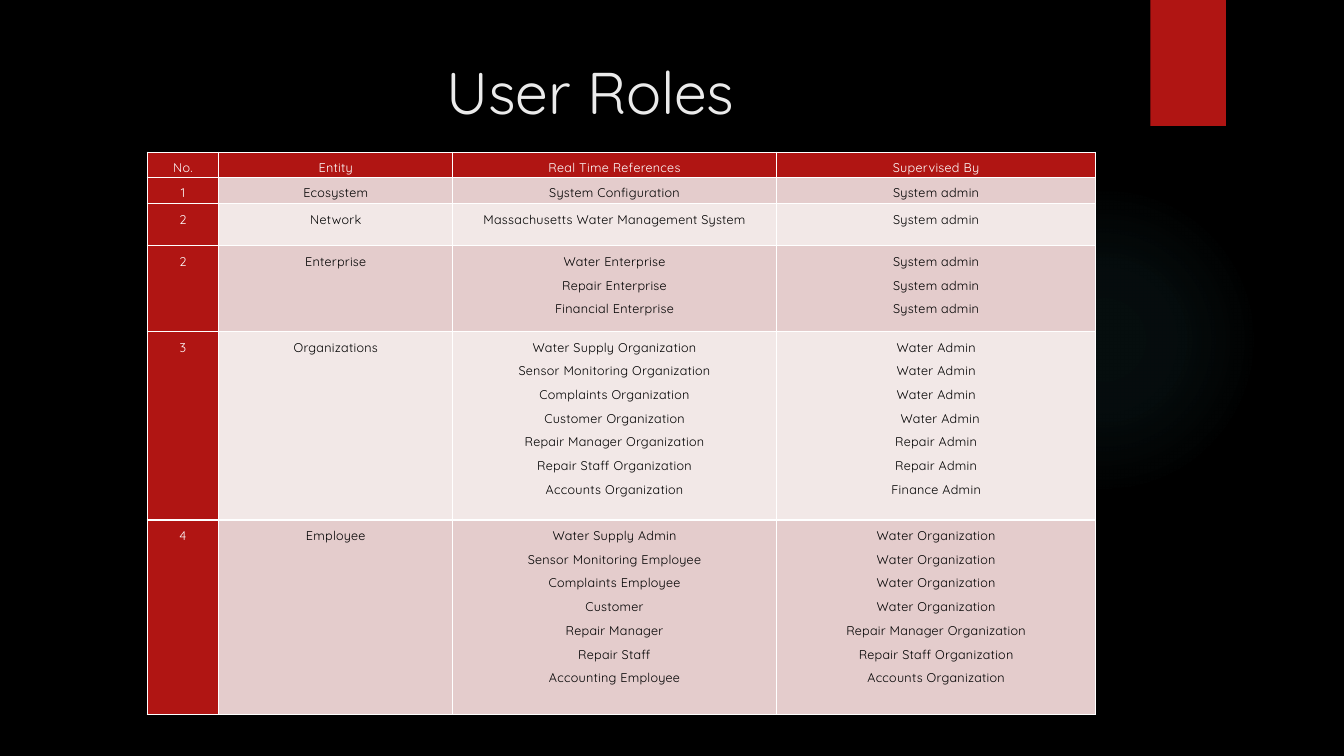
from lxml.etree import SubElement
from pptx import Presentation
from pptx.dml.color import RGBColor
from pptx.enum.shapes import MSO_SHAPE
from pptx.enum.text import MSO_ANCHOR, PP_ALIGN
from pptx.oxml import parse_xml
from pptx.oxml.ns import nsdecls, qn
from pptx.util import Pt

SCALE = 9144  # EMU per px, at 100 px to the inch

COLORS = {
    "back": "000000",
    "title": "EBEBEB",
    "red": "B01513",
    "white": "FFFFFF",
    "text": "000000",
    "rose": "E4CCCC",
    "pale": "F2E8E7",
    "glow": "50B9C1",
}

HEADS = ["No.", "Entity", "Real Time References", "Supervised By"]
WIDTHS = [71, 232, 321, 317]
HEIGHTS = [25, 26, 42, 85, 187, 193]
ROLES = [
    ("1", "Ecosystem", ["System Configuration"], ["System admin"]),
    ("2", "Network", ["Massachusetts Water Management System"], ["System admin"]),
    ("2", "Enterprise",
     ["Water Enterprise", "Repair Enterprise", "Financial Enterprise"],
     ["System admin"] * 3),
    ("3", "Organizations",
     ["Water Supply Organization", "Sensor Monitoring Organization",
      "Complaints Organization", "Customer Organization",
      "Repair Manager Organization", "Repair Staff Organization",
      "Accounts Organization"],
     ["Water Admin"] * 4 + ["Repair Admin"] * 2 + ["Finance Admin"]),
    ("4", "Employee",
     ["Water Supply Admin", "Sensor Monitoring Employee",
      "Complaints Employee", "Customer", "Repair Manager", "Repair Staff",
      "Accounting Employee"],
     ["Water Organization"] * 4
     + ["Repair Manager Organization", "Repair Staff Organization",
        "Accounts Organization"]),
]


def px(*sizes):
    return [size * SCALE for size in sizes]


def color(name):
    return RGBColor.from_string(COLORS[name])


class Board:
    font = "Quicksand"

    def __init__(self, slide):
        self.slide = slide
        fill = slide.background.fill
        fill.solid()
        fill.fore_color.rgb = color("back")

    def shape(self, kind, box, fill):
        shape = self.slide.shapes.add_shape(kind, *px(*box))
        shape.shadow.inherit = False
        shape.line.fill.background()
        shape.fill.solid()
        shape.fill.fore_color.rgb = color(fill)
        return shape

    def glow(self, box, stops):
        """Draw a circle that fades outward; stops are (place, opacity) in percent."""
        shape = self.shape(MSO_SHAPE.OVAL, box, "glow")
        marks = "".join(
            f'<a:gs pos="{place * 1000}"><a:srgbClr val="{COLORS["glow"]}">'
            f'<a:alpha val="{alpha * 1000}"/></a:srgbClr></a:gs>'
            for place, alpha in stops)
        grad = parse_xml(
            f'<a:gradFill {nsdecls("a")} rotWithShape="1"><a:gsLst>{marks}</a:gsLst>'
            '<a:path path="circle"><a:fillToRect l="50000" t="50000" '
            'r="50000" b="50000"/></a:path></a:gradFill>')
        props = shape.element.spPr
        props.replace(props.find(qn("a:solidFill")), grad)

    def style(self, para, size, ink):
        para.alignment = PP_ALIGN.CENTER
        para.font.name = self.font
        para.font.size = Pt(size)
        para.font.bold = False
        para.font.color.rgb = color(ink)

    def title(self, text, box):
        title = self.slide.shapes.title
        title.left, title.top, title.width, title.height = px(*box)
        frame = title.text_frame
        frame.text = text
        frame.word_wrap = True
        frame.vertical_anchor = MSO_ANCHOR.TOP
        self.style(frame.paragraphs[0], 42, "title")

    def cell(self, cell, lines, fill, ink):
        cell.margin_left, cell.margin_right = px(4, 4)
        cell.margin_top = cell.margin_bottom = 0
        cell.fill.solid()
        cell.fill.fore_color.rgb = color(fill)
        cell.text = "\n".join(lines)
        for para in cell.text_frame.paragraphs:
            self.style(para, 9, ink)
            para.line_spacing = 1.5
            for run in para.runs:
                run.font.language_id = None
                run._r.get_or_add_rPr().set("spc", "20")
        self.edges(cell)

    def edges(self, cell):
        props = cell._tc.get_or_add_tcPr()
        for place, side in enumerate("LRTB"):
            line = parse_xml(f'<a:ln{side} {nsdecls("a")} w="{Pt(1)}"/>')
            fill = SubElement(line, qn("a:solidFill"))
            SubElement(fill, qn("a:srgbClr"), val=COLORS["white"])
            props.insert(place, line)

    def table(self, left, top):
        box = px(left, top, sum(WIDTHS), sum(HEIGHTS))
        table = self.slide.shapes.add_table(
            len(HEIGHTS), len(WIDTHS), *box).table
        table.first_col = True
        for col, width in zip(table.columns, px(*WIDTHS)):
            col.width = width
        for row, height in zip(table.rows, px(*HEIGHTS)):
            row.height = height
        for col, head in enumerate(HEADS):
            self.cell(table.cell(0, col), [head], "red", "white")
        for row, (number, entity, refs, admins) in enumerate(ROLES, 1):
            band = "rose" if row % 2 else "pale"
            self.cell(table.cell(row, 0), [number], "red", "white")
            for col, lines in enumerate([[entity], refs, admins], 1):
                self.cell(table.cell(row, col), lines, band, "text")
        return table


def main():
    deck = Presentation()
    deck.slide_width, deck.slide_height = px(1333, 750)
    board = Board(deck.slides.add_slide(deck.slide_layouts[5]))
    board.glow((941, 183, 308, 308), [(0, 7), (36, 6), (69, 0), (100, 0)])
    board.shape(MSO_SHAPE.RECTANGLE, (1141, 0, 75, 125), "red")
    board.title("User Roles", (71, 50, 1029, 153))
    table = board.table(146, 151)
    # The fourth supervisor of the organizations sits slightly to the right.
    shifted = table.cell(4, 3).text_frame.paragraphs[3]
    shifted._p.get_or_add_pPr().set("marL", str(8 * SCALE))
    deck.save("out.pptx")


if __name__ == "__main__":
    main()
